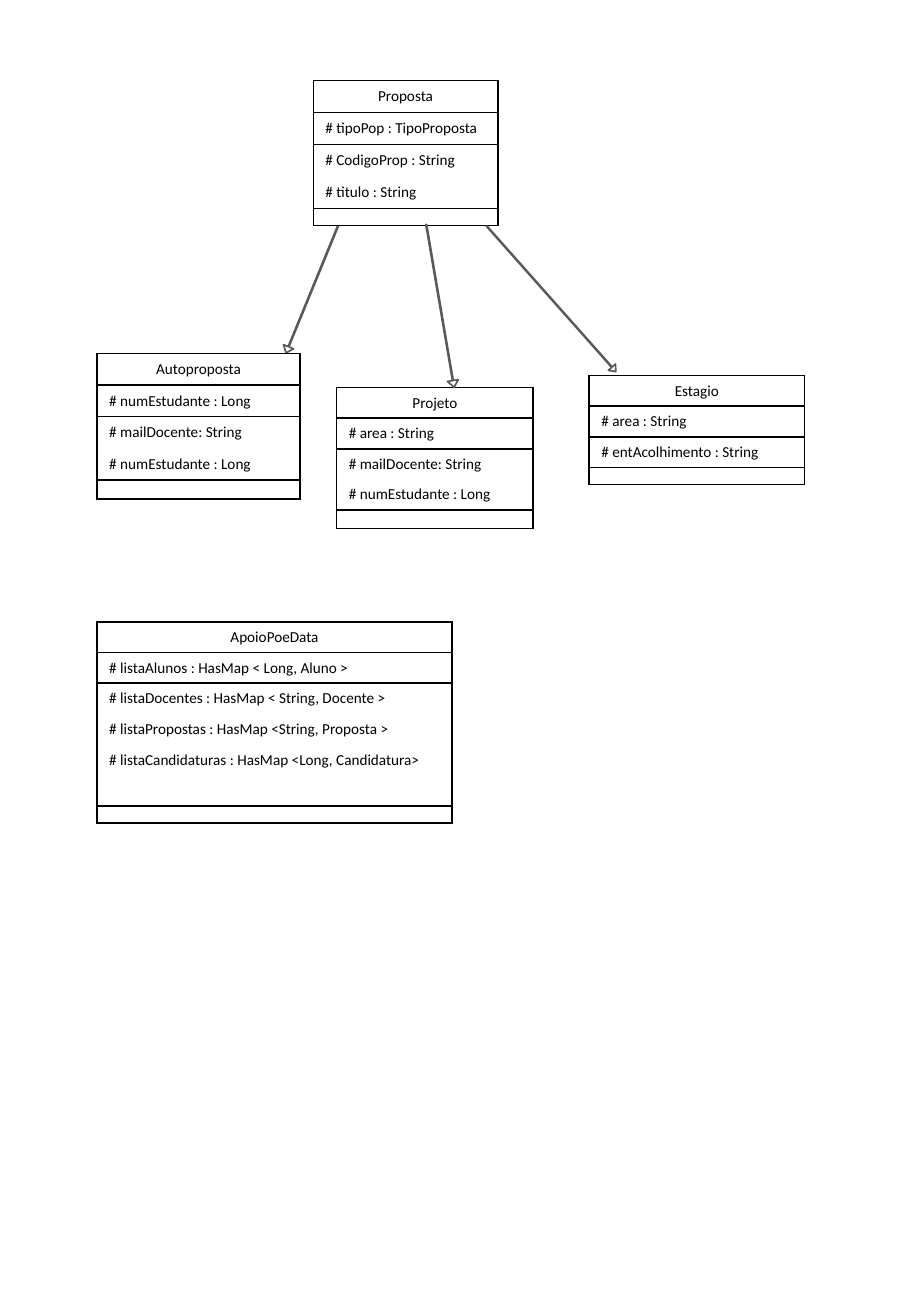
"""Draw a class diagram of proposals with its inheritance arrows."""
from dataclasses import dataclass

from lxml import etree
from pptx import Presentation
from pptx import util as u
from pptx.dml.color import RGBColor
from pptx.enum import shapes, text
from pptx.oxml import ns


@dataclass(frozen=True)
class Theme:
    font: str = "Calibri"
    size: int = 9
    spacer_size: int = 4
    ink: str = "000000"
    paper: str = "FFFFFF"
    arrow: str = "595959"
    line: int = 1


THEME = Theme()
PAGE_SIZE = (19.05, 27.51)

CLASSES = [
    dict(name="Proposta", left=6.55, top=1.68, width=3.86, row=0.67, foot=0.35, filled=True,
         fields=["# tipoPop : TipoProposta", "# CodigoProp : String", "# titulo : String"]),
    dict(name="Estagio", left=12.32, top=7.85, width=4.5, row=0.64, foot=0.36, filled=False,
         fields=["# area : String", "# entAcolhimento : String"]),
    dict(name="Projeto", left=7.04, top=8.1, width=4.11, row=0.64, foot=0.38, filled=False,
         fields=["# area : String", "# mailDocente: String", "# numEstudante : Long"]),
    dict(name="Autoproposta", left=2.03, top=7.39, width=4.24, row=0.66, foot=0.4, filled=False,
         fields=["# numEstudante : Long", "# mailDocente: String", "# numEstudante : Long"]),
    dict(name="ApoioPoeData", left=2.03, top=13, width=7.42, row=0.64, foot=0.36, filled=True,
         fields=["# listaAlunos : HasMap < Long, Aluno >",
                 "# listaDocentes : HasMap < String, Docente >",
                 "# listaPropostas : HasMap <String, Proposta >",
                 "# listaCandidaturas : HasMap <Long, Candidatura>", ""]),
]

ARROW_BEHIND = (6.43, 4.52, 0.23, 2.97, 22.3)
ARROWS_IN_FRONT = [
    (9.09, 4.67, 0.23, 3.45, 350.3),
    (11.43, 4.22, 0.2, 4.06, 318.4),
]


def color(value):
    return RGBColor.from_string(value)


def set_borders(cell, visible):
    properties = cell._tc.get_or_add_tcPr()
    for index, side in enumerate("LRTB"):
        line = etree.Element(ns.qn("a:ln" + side), w=str(u.Pt(THEME.line)))
        if side in visible:
            fill = etree.SubElement(line, ns.qn("a:solidFill"))
            etree.SubElement(fill, ns.qn("a:srgbClr"), val=THEME.ink)
        else:
            etree.SubElement(line, ns.qn("a:noFill"))
        properties.insert(index, line)


def write_cell(cell, content, centered):
    cell.vertical_anchor = text.MSO_ANCHOR.MIDDLE
    para = cell.text_frame.paragraphs[0]
    para.alignment = text.PP_ALIGN.CENTER if centered else text.PP_ALIGN.LEFT
    para.font.name = THEME.font
    para.font.size = u.Pt(THEME.size if content else THEME.spacer_size)
    para.font.color.rgb = color(THEME.ink)
    if content:
        para.add_run().text = content
    else:
        cell.margin_top = cell.margin_bottom = 0


def add_class(page, item):
    rows = [item["name"], *item["fields"], ""]
    last = len(rows) - 1
    heights = [item["row"]] * last + [item["foot"]]
    frame = page.shapes.add_table(len(rows), 1, u.Cm(item["left"]), u.Cm(item["top"]),
                                  u.Cm(item["width"]), u.Cm(sum(heights)))
    table = frame.table
    table.first_row = table.horz_banding = False
    ruled_below = {0, 1, last - 1, last}
    for index, (content, height) in enumerate(zip(rows, heights)):
        table.rows[index].height = u.Cm(height)
        cell = table.cell(index, 0)
        write_cell(cell, content, centered=index == 0)
        if item["filled"]:
            cell.fill.solid()
            cell.fill.fore_color.rgb = color(THEME.paper)
        else:
            cell.fill.background()
        top = "T" if index == 0 or index - 1 in ruled_below else ""
        bottom = "B" if index in ruled_below else ""
        set_borders(cell, "LR" + top + bottom)


def add_arrow(page, left, top, width, height, rotation):
    arrow = page.shapes.add_shape(shapes.MSO_SHAPE.DOWN_ARROW, u.Cm(left), u.Cm(top),
                                  u.Cm(width), u.Cm(height))
    arrow.rotation = rotation
    arrow.adjustments[0] = 0.08
    arrow.adjustments[1] = 0.61
    arrow.shadow.inherit = False
    arrow.fill.background()
    arrow.line.color.rgb = color(THEME.arrow)
    arrow.line.width = u.Pt(THEME.line)


deck = Presentation()
deck.slide_width, deck.slide_height = map(u.Cm, PAGE_SIZE)
page = deck.slides.add_slide(deck.slide_layouts[6])
add_arrow(page, *ARROW_BEHIND)
for item in CLASSES:
    add_class(page, item)
for placement in ARROWS_IN_FRONT:
    add_arrow(page, *placement)
deck.save("out.pptx")
